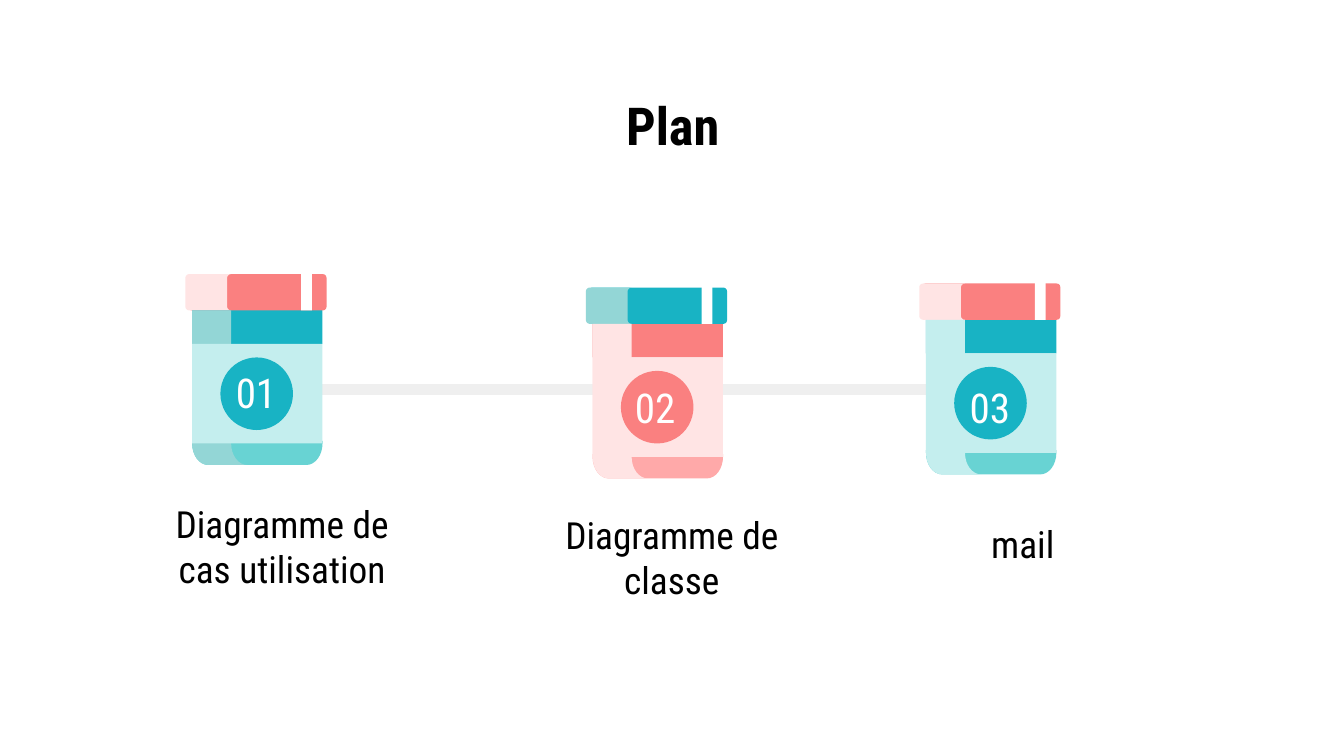
"""Build a plan slide with three numbered jars joined by a line."""
import math
import pptx
import pptx.dml.color
import pptx.enum.shapes
import pptx.enum.text
import pptx.oxml
import pptx.util

Inches = pptx.util.Inches
SHAPE = pptx.enum.shapes.MSO_SHAPE
ANCHOR = pptx.enum.text.MSO_ANCHOR


def color(value):
    """Turn a hex string into a colour."""
    return pptx.dml.color.RGBColor.from_string(value)


def arc(center_x, center_y, radius_x, radius_y, start, end):
    """Return points along an elliptical arc, angles in degrees, clockwise from the right."""
    angles = [math.radians(start + (end - start) * step / 8) for step in range(9)]
    return [(center_x + radius_x * math.cos(angle), center_y + radius_y * math.sin(angle))
            for angle in angles]


presentation = pptx.Presentation()
presentation.slide_width = Inches(10)
presentation.slide_height = Inches(10 * 9 / 16)
slide = presentation.slides.add_slide(presentation.slide_layouts[5])

line = slide.shapes.add_connector(
    pptx.enum.shapes.MSO_CONNECTOR.STRAIGHT, Inches(2), Inches(2.9), Inches(7.61), Inches(2.9))
line.line.color.rgb = color("EFEFEF")
line.line.width = pptx.util.Pt(6)
effects = '<a:effectLst xmlns:a="http://schemas.openxmlformats.org/drawingml/2006/main"/>'
line._element.spPr.append(pptx.oxml.parse_xml(effects))

title = slide.shapes.title
title.left, title.top, title.width, title.height = map(Inches, (0.79, 0.59, 8.43, 0.55))
texts = [(title, "Plan", {"size": pptx.util.Pt(28), "bold": True}, "000000", ANCHOR.TOP)]

base_outline = [(0, 1.24), *arc(0.12, 1.26, 0.12, 0.16, 180, 90),
                *arc(0.85, 1.26, 0.12, 0.16, 90, 0), (0.97, 1.24)]
cap_shade_outline = [*arc(-0.02, 0.03, 0.03, 0.03, 180, 270), *arc(0.29, 0.03, 0.03, 0.03, 270, 180),
                     *arc(0.29, 0.24, 0.03, 0.03, 180, 90), *arc(-0.02, 0.24, 0.03, 0.03, 90, 180)]
side_outline = [(0, 0.27), *arc(0.12, 1.26, 0.12, 0.16, 180, 90),
                *arc(0.41, 1.26, 0.12, 0.16, 90, 180), (0.29, 0.27)]

jars = [
    {"place": (4.41, 2.14), "base": "FFA9A9", "neck": "FA8080", "cap": "18B3C4",
     "cap_shade": "93D6D6", "side": "FFE4E4", "label": "FFE4E4",
     "number": ("02", 4.6, 2.76, 0.55), "caption": ("Diagramme de classe", 3.98, 3.71)},
    {"place": (6.89, 2.11), "base": "68D3D3", "neck": "18B3C4", "cap": "FA8080",
     "cap_shade": "FFE4E4", "side": "C4EEEE", "label": "C4EEEE",
     "number": ("03", 7.09, 2.76, 0.55), "caption": ("mail", 6.59, 3.78)},
    {"place": (1.43, 2.04), "base": "68D3D3", "neck": "18B3C4", "cap": "FA8080",
     "cap_shade": "FFE4E4", "side": "93D6D6", "label": "C4EEEE",
     "number": ("01", 1.65, 2.65, 0.51), "caption": ("Diagramme de cas utilisation", 1.08, 3.63)},
]

for jar in jars:
    left, top = jar["place"]
    group = slide.shapes.add_group_shape()
    parts = [
        (base_outline, None, jar["base"]),
        (SHAPE.RECTANGLE, (0, 0.26, 0.97, 0.26), jar["neck"]),
        (SHAPE.ROUNDED_RECTANGLE, (-0.03, 0, 1.03, 0.27), jar["cap"]),
        (cap_shade_outline, None, jar["cap_shade"]),
        (side_outline, None, jar["side"]),
        (SHAPE.RECTANGLE, (0, 0.52, 0.97, 0.74), jar["label"]),
        (SHAPE.RECTANGLE, (0.81, -0.01, 0.08, 0.28), "FFFFFF"),
        (SHAPE.OVAL, (0.21, 0.62, 0.54, 0.54), jar["neck"]),
    ]
    for outline, box, fill in parts:
        if box is None:
            points = [(Inches(left + x), Inches(top + y)) for x, y in outline]
            builder = group.shapes.build_freeform(*points[0])
            builder.add_line_segments(points[1:], close=True)
            shape = builder.convert_to_shape()
        else:
            x, y, width, height = box
            shape = group.shapes.add_shape(
                outline, Inches(left + x), Inches(top + y), Inches(width), Inches(height))
            if outline == SHAPE.ROUNDED_RECTANGLE:
                shape.adjustments[0] = 0.1
        shape.shadow.inherit = False
        shape.fill.solid()
        shape.fill.fore_color.rgb = color(fill)
        shape.line.fill.background()

    number, x, y, width = jar["number"]
    number_box = slide.shapes.add_textbox(Inches(x), Inches(y), Inches(width), Inches(0.54))
    texts.append((number_box, number, {"size": pptx.util.Pt(22)}, "FFFFFF", ANCHOR.MIDDLE))
    caption, x, y = jar["caption"]
    caption_box = slide.shapes.add_textbox(Inches(x), Inches(y), Inches(2.04), Inches(0.4))
    texts.append((caption_box, caption, {"size": pptx.util.Pt(20)}, "000000", ANCHOR.TOP))

for shape, text, font_format, text_color, anchor in texts:
    frame = shape.text_frame
    frame.text = text
    margins = {f"margin_{side}": Inches(0.1) for side in ("left", "top", "right", "bottom")}
    frame_format = {"word_wrap": True, "vertical_anchor": anchor,
                    "auto_size": pptx.enum.text.MSO_AUTO_SIZE.NONE, **margins}
    for name, value in frame_format.items():
        setattr(frame, name, value)
    paragraph = frame.paragraphs[0]
    paragraph.alignment = pptx.enum.text.PP_ALIGN.CENTER
    font = paragraph.runs[0].font
    for name, value in {"name": "Roboto Condensed", **font_format}.items():
        setattr(font, name, value)
    font.color.rgb = color(text_color)

presentation.save("out.pptx")
